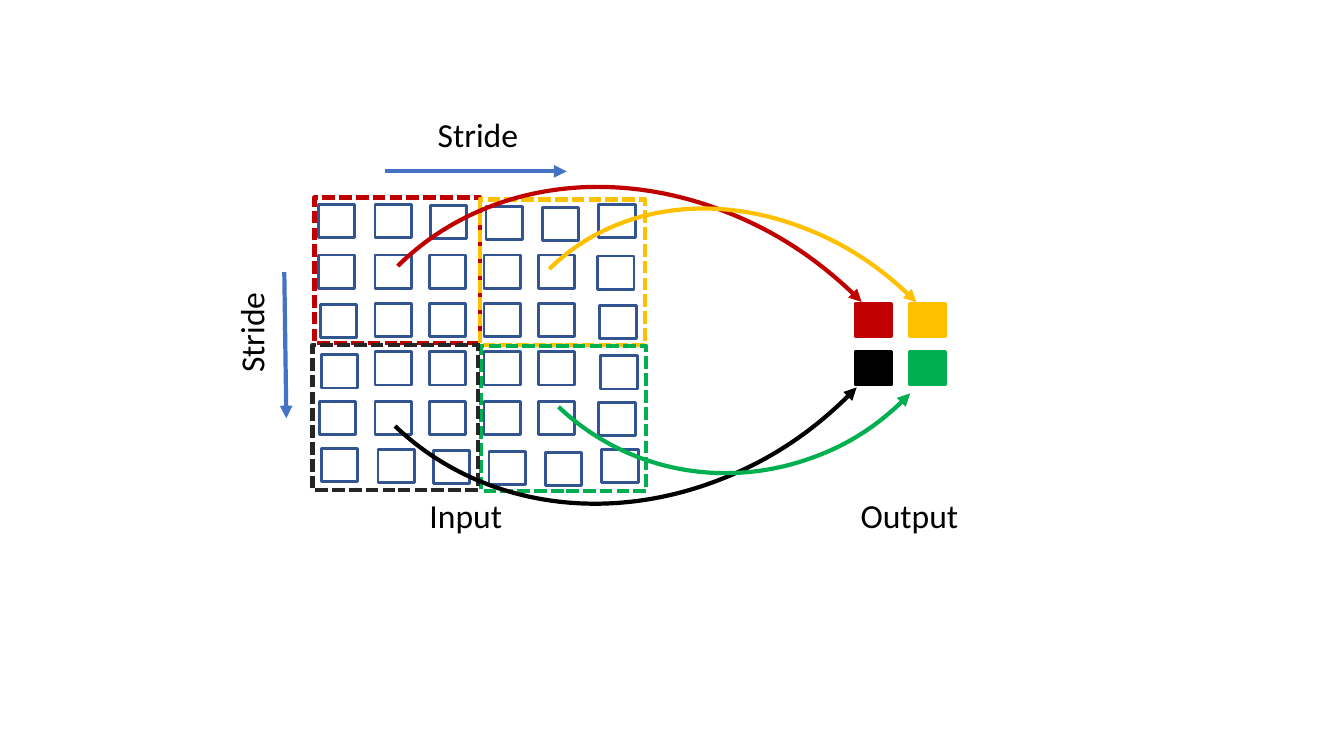
from dataclasses import dataclass

from lxml.etree import SubElement
from pptx import Presentation
from pptx.dml.color import RGBColor
from pptx.enum.dml import MSO_LINE
from pptx.enum.shapes import MSO_CONNECTOR, MSO_SHAPE
from pptx.enum.text import MSO_AUTO_SIZE, PP_ALIGN
from pptx.oxml.ns import qn
from pptx.util import Pt

PX = 9144  # EMU per px, 100 px to the inch


@dataclass(frozen=True)
class Theme:
    red: str = "C00000"
    yellow: str = "FFC000"
    black: str = "000000"
    charcoal: str = "262626"
    green: str = "00B050"
    cell: str = "325491"
    stride: str = "4472C4"
    font: str = "Calibri"
    label_size: int = 24
    thin: int = 2
    thick: int = 3


theme = Theme()
presentation = Presentation()
presentation.slide_width = 1333 * PX
presentation.slide_height = 750 * PX
slide = presentation.slides.add_slide(presentation.slide_layouts[6])


def add_outline(kind, left, top, width, height, color, weight):
    """Add an unfilled preset shape with a coloured line."""
    shape = slide.shapes.add_shape(kind, left * PX, top * PX, width * PX, height * PX)
    shape.shadow.inherit = False
    shape.fill.background()
    shape.line.color.rgb = RGBColor.from_string(color)
    shape.line.width = Pt(weight)
    return shape


def add_arrowhead(shape):
    line = shape.element.spPr.find(qn("a:ln"))
    SubElement(line, qn("a:tailEnd"), type="triangle")


# Input cells: a regular 4 x 4 core inside a slightly uneven border
cells = [(372 + 54 * column, top) for top in (253, 301, 349, 398) for column in range(4)]
for left, top in ((316, 253), (318, 302), (319, 352), (317, 398)):
    cells += [(left, top), (left + 277, top + 1)]
for start, tops in (
    (316, (203, 203, 204, 205, 206, 203)),
    (319, (445, 446, 447, 448, 449, 446)),
):
    cells += [(start + round(55.5 * column), top) for column, top in enumerate(tops)]
for left, top in cells:
    add_outline(MSO_SHAPE.RECTANGLE, left, top, 36, 33, theme.cell, theme.thin)

# Pooling windows
for left, top, color in (
    (312, 196, theme.red),
    (476, 198, theme.yellow),
    (477, 343, theme.green),
    (310, 342, theme.charcoal),
):
    window = add_outline(MSO_SHAPE.RECTANGLE, left, top, 164, 144, color, theme.thick)
    window.line.dash_style = MSO_LINE.SQUARE_DOT

# Output cells
output_colors = (theme.red, theme.yellow, theme.black, theme.green)
for index, color in enumerate(output_colors):
    row, column = divmod(index, 2)
    output = add_outline(
        MSO_SHAPE.RECTANGLE, 848 + 54 * column, 301 + 48 * row, 36, 33, color, theme.thin
    )
    output.fill.solid()
    output.fill.fore_color.rgb = RGBColor.from_string(color)

# Curved arrows from each window to its output; the lower two are flipped
for left, top, width, height, flipped, color in (
    (338, 163, 604, 698, False, theme.red),
    (325, -170, 609, 688, True, theme.black),
    (484, -28, 486, 501, True, theme.green),
    (506, 186, 471, 559, False, theme.yellow),
):
    arc = add_outline(MSO_SHAPE.ARC, left, top, width, height, color, theme.thick)
    arc.rotation = 43.7 if flipped else 315.3
    if flipped:
        arc.element.spPr.find(qn("a:xfrm")).set("flipV", "1")
    add_arrowhead(arc)

# Stride arrows
for start_x, start_y, end_x, end_y in ((382, 170, 562, 170), (282, 270, 284, 415)):
    arrow = slide.shapes.add_connector(
        MSO_CONNECTOR.STRAIGHT, start_x * PX, start_y * PX, end_x * PX, end_y * PX
    )
    arrow.line.color.rgb = RGBColor.from_string(theme.stride)
    arrow.line.width = Pt(theme.thick)
    add_arrowhead(arrow)
    SubElement(arrow.element.spPr, qn("a:effectLst"))

# Labels
for text, left, top, rotation in (
    ("Input", 347, 486, 0),
    ("Output", 787, 486, 0),
    ("Stride", 359, 108, 0),
    ("Stride", 134, 305, 270),
):
    label = slide.shapes.add_textbox(left * PX, top * PX, 230 * PX, 50 * PX)
    label.rotation = rotation
    label.text_frame.word_wrap = True
    label.text_frame.auto_size = MSO_AUTO_SIZE.SHAPE_TO_FIT_TEXT
    paragraph = label.text_frame.paragraphs[0]
    paragraph.text = text
    paragraph.alignment = PP_ALIGN.CENTER
    paragraph.font.name = theme.font
    paragraph.font.size = Pt(theme.label_size)
    paragraph.font.color.rgb = RGBColor.from_string(theme.black)

presentation.save("out.pptx")
